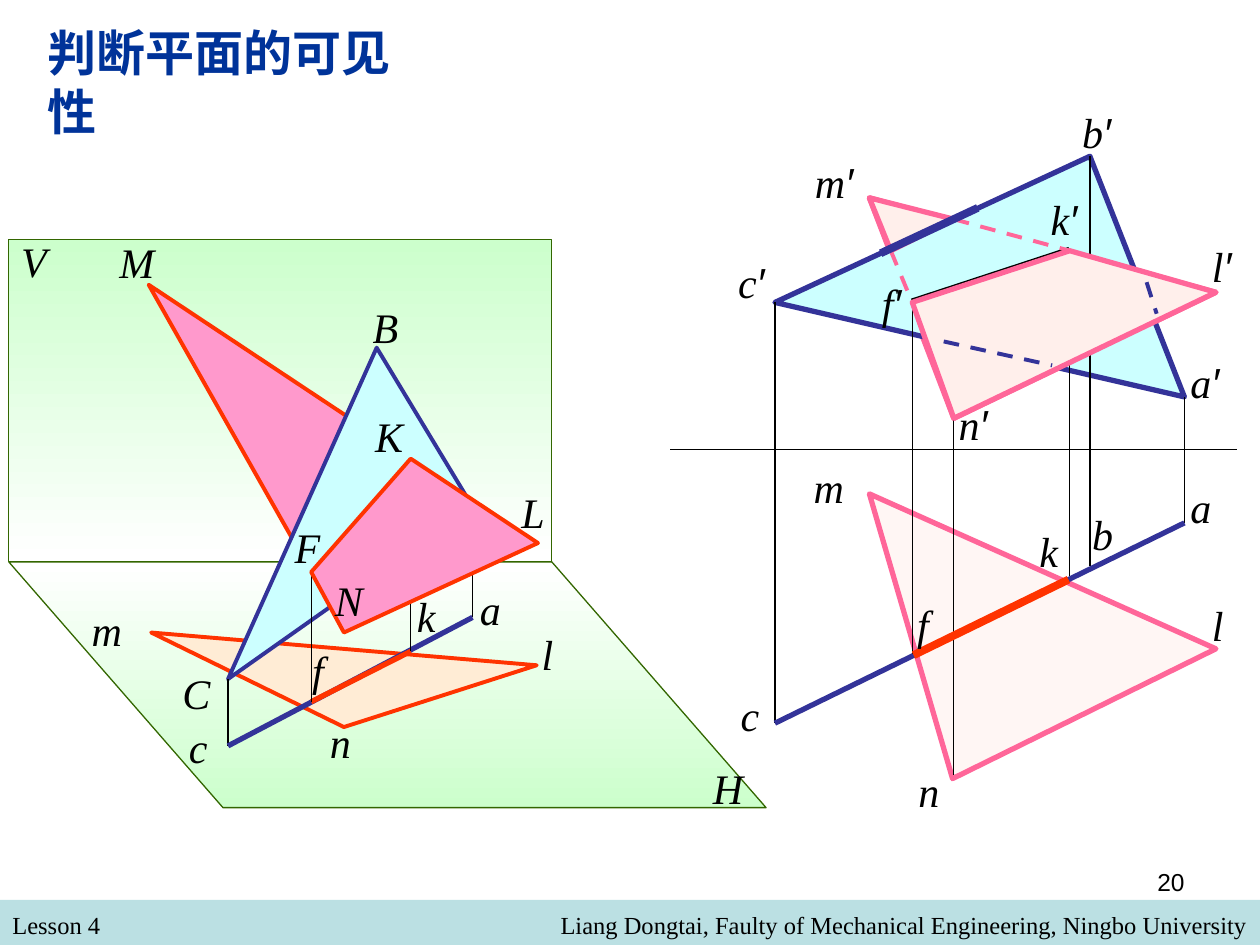
from lxml import etree
from pptx import Presentation
from pptx import util as u
from pptx.dml.color import RGBColor
from pptx.enum import dml, shapes, text
from pptx.oxml.ns import qn

GRID = 2.54  # centimetres per drawing unit
BLACK = RGBColor(0x00, 0x00, 0x00)
WHITE = RGBColor(0xFF, 0xFF, 0xFF)
NAVY = RGBColor(0x00, 0x33, 0x99)
INDIGO = RGBColor(0x33, 0x33, 0x99)
CYAN = RGBColor(0xCC, 0xFF, 0xFF)
ROSE = RGBColor(0xFF, 0x66, 0x99)
BLUSH = RGBColor(0xFF, 0xEF, 0xEB)
PINK = RGBColor(0xFF, 0x99, 0xCC)
RED = RGBColor(0xFF, 0x33, 0x00)
CREAM = RGBColor(0xFF, 0xEC, 0xD5)
MINT = RGBColor(0xCC, 0xFF, 0xCC)
GREEN = RGBColor(0x33, 0x66, 0x00)
FOOTER = RGBColor(0xBB, 0xE0, 0xE3)


def draw(group, points, color, width, fill=None, alpha=None, dash=False):
    """Draw a connector through two points, or a filled polygon through more."""
    pts = [(u.Cm(x * GRID), u.Cm(y * GRID)) for x, y in points]
    if len(pts) == 2:
        sp = group.shapes.add_connector(
            shapes.MSO_CONNECTOR.STRAIGHT, *pts[0], *pts[1])
        etree.SubElement(sp._element.spPr, qn("a:effectLst"))
    else:
        builder = group.shapes.build_freeform(*pts[0])
        builder.add_line_segments(pts[1:], close=True)
        sp = builder.convert_to_shape()
        sp.shadow.inherit = False
        if isinstance(fill, tuple) and not isinstance(fill, RGBColor):
            sp.fill.gradient()
            sp.fill.gradient_angle = 270
            for stop, stop_color in zip(sp.fill.gradient_stops, fill):
                stop.color.rgb = stop_color
        else:
            sp.fill.solid()
            sp.fill.fore_color.rgb = fill
        if alpha:
            clr = sp._element.spPr.find(".//" + qn("a:srgbClr"))
            etree.SubElement(clr, qn("a:alpha"), val=str(alpha * 1000))
    sp.line.color.rgb = color
    sp.line.width = u.Pt(width)
    if dash:
        sp.line.dash_style = dml.MSO_LINE.DASH


def write(parent, box, words, size, font="Times New Roman", color=BLACK,
          italic=False, bold=False, align=text.PP_ALIGN.LEFT, wrap=True):
    sp = parent.shapes.add_textbox(*[u.Cm(v * GRID) for v in box])
    tf = sp.text_frame
    tf.word_wrap = wrap
    p = tf.paragraphs[0]
    p.alignment = align
    for part in words.replace("′", "|′").split("|"):
        r = p.add_run()
        r.text = part
        r.font.size = u.Pt(size)
        r.font.name = "Arial" if part == "′" else font
        r.font.italic = italic
        r.font.bold = bold
        r.font.color.rgb = color


prs = Presentation()
prs.slide_width, prs.slide_height = u.Cm(25.4), u.Cm(19.05)
s = prs.slides.add_slide(prs.slide_layouts[6])

# Footer and page number
bar = s.shapes.add_shape(shapes.MSO_SHAPE.RECTANGLE,
                         u.Cm(0), u.Cm(18.14), u.Cm(25.4), u.Cm(0.91))
bar.shadow.inherit = False
bar.fill.solid()
bar.fill.fore_color.rgb = FOOTER
bar.line.fill.background()
right = text.PP_ALIGN.RIGHT
write(s, (0, 7.17, 4.83, 0.34), "Lesson 4", 14)
write(s, (1.83, 7.17, 8.17, 0.34),
      "Liang Dongtai, Faulty of Mechanical Engineering, Ningbo University",
      14, align=right)
write(s, (7.17, 6.83, 2.33, 0.52), "20", 14, font="Arial", align=right)

# Two-view projection: front view points end in 2, top view points in 1
a2, b2, c2 = (9.4, 3.15), (8.65, 1.24), (6.15, 2.4)
l2, m2, n2 = (9.65, 2.32), (6.9, 1.57), (7.57, 3.32)
f2, k2 = (7.24, 2.4), (8.49, 1.99)
a1, b1, c1 = (9.4, 4.15), (8.65, 4.49), (6.15, 5.74)
l1, m1, n1 = (9.65, 5.15), (6.9, 3.92), (7.56, 6.18)
f1, k1 = (7.24, 5.19), (8.49, 4.57)
edge_ml, edge_mn = (7.57, 1.74), (7.07, 1.99)

views = s.shapes.add_group_shape()
draw(views, [m2, n2, l2], ROSE, 3, BLUSH, alpha=50)
draw(views, [c2, b2, a2], INDIGO, 3, CYAN)
draw(views, [(5.32, 3.57), (9.82, 3.57)], BLACK, 0.75)
for low, high in [(c1, c2), (a1, a2), (b1, b2)]:
    draw(views, [low, high], BLACK, 0.75)
draw(views, [m1, l1, n1], ROSE, 3, BLUSH, alpha=50)
draw(views, [(7.57, 6.15), n2], BLACK, 0.75)
draw(views, [c1, a1], INDIGO, 3)
draw(views, [k2, f2], BLACK, 4.5)
for low, high in [(f1, f2), (k1, k2)]:
    draw(views, [low, high], BLACK, 0.75)
draw(views, [(7.25, 5.2), (8.48, 4.6)], RED, 4.5)
draw(views, [edge_ml, m2, edge_mn], ROSE, 3, BLUSH)
draw(views, [n2, l2, k2, f2], ROSE, 3, BLUSH)
for start, end, color in [(edge_ml, k2, ROSE), (edge_mn, f2, ROSE),
                          ((7.49, 2.71), (8.35, 2.9), INDIGO),
                          ((9.1, 2.24), (9.18, 2.49), INDIGO)]:
    draw(views, [start, end], color, 2.25, dash=True)
draw(views, [(6.99, 2.01), (7.76, 1.65)], INDIGO, 4.5)

for name, x, y in [
        ("b′", 8.49, 0.8), ("b", 8.57, 3.99), ("a", 9.35, 3.77),
        ("c", 5.78, 5.42), ("n", 7.19, 6.03), ("l", 9.52, 4.71),
        ("m", 6.36, 3.61), ("c′", 5.76, 1.99), ("m′", 6.37, 1.19),
        ("a′", 9.35, 2.78), ("l′", 9.52, 1.86), ("n′", 7.51, 3.11),
        ("f", 7.18, 4.7), ("k", 8.15, 4.12), ("f′", 6.9, 2.15),
        ("k′", 8.24, 1.49)]:
    write(views, (x, y, 0.64, 0.5), name, 24, italic=True)

# Spatial view: planes V and H, upper case in space, lower case on H
A, B, C = (3.75, 4.02), (2.99, 2.76), (1.81, 5.39)
F, K, L, M, N = (2.47, 4.54), (3.26, 3.64), (4.27, 4.31), (1.18, 2.26), (2.73, 5.02)
a, c, f, k = (3.75, 4.9), (1.81, 5.92), (2.47, 5.57), (3.26, 5.17)
l, m, n = (4.26, 5.28), (1.2, 5.02), (2.73, 5.77)

space = s.shapes.add_group_shape()
wall = space.shapes.add_shape(
    shapes.MSO_SHAPE.RECTANGLE,
    *[u.Cm(v * GRID) for v in (0.07, 1.9, 4.31, 2.56)])
wall.shadow.inherit = False
wall.fill.gradient()
wall.fill.gradient_angle = 270
for stop, color in zip(wall.fill.gradient_stops, (MINT, WHITE)):
    stop.color.rgb = color
wall.line.color.rgb = GREEN
wall.line.width = u.Pt(0.75)
draw(space, [(0.07, 4.46), (1.77, 6.41), (6.08, 6.41), (4.38, 4.46)],
     GREEN, 0.75, (WHITE, MINT))
draw(space, [F, M, K], RED, 2.25, PINK)
draw(space, [n, l, m], RED, 2.25, CREAM)
draw(space, [A, C, B], INDIGO, 2.25, CYAN)
for high, low in [(A, a), (C, c)]:
    draw(space, [high, low], BLACK, 0.75)
draw(space, [a, c], INDIGO, 3)
draw(space, [f, k], RED, 3)
for high, low in [(F, f), (K, k)]:
    draw(space, [high, low], BLACK, 0.75)
draw(space, [K, F, N, L], RED, 2.25, PINK)

for name, x, y in [
        ("V", 0.07, 1.82), ("H", 5.56, 6), ("M", 0.85, 1.83),
        ("m", 0.63, 4.75), ("n", 2.52, 5.64), ("l", 4.2, 4.94),
        ("B", 2.86, 2.34), ("C", 1.35, 5.25), ("a", 3.71, 4.58),
        ("c", 1.4, 5.68), ("k", 3.21, 4.64), ("f", 2.38, 5.07),
        ("F", 2.24, 4.09), ("K", 2.88, 3.21), ("N", 2.56, 4.51),
        ("L", 4.04, 3.81)]:
    write(space, (x, y, 0.67, 0.5), name, 24, italic=True)

write(s, (0.28, 0.13, 3.3, 0.57), "判断平面的可见性", 28, font="Arial",
      color=NAVY, bold=True, wrap=False)

prs.save("out.pptx")
